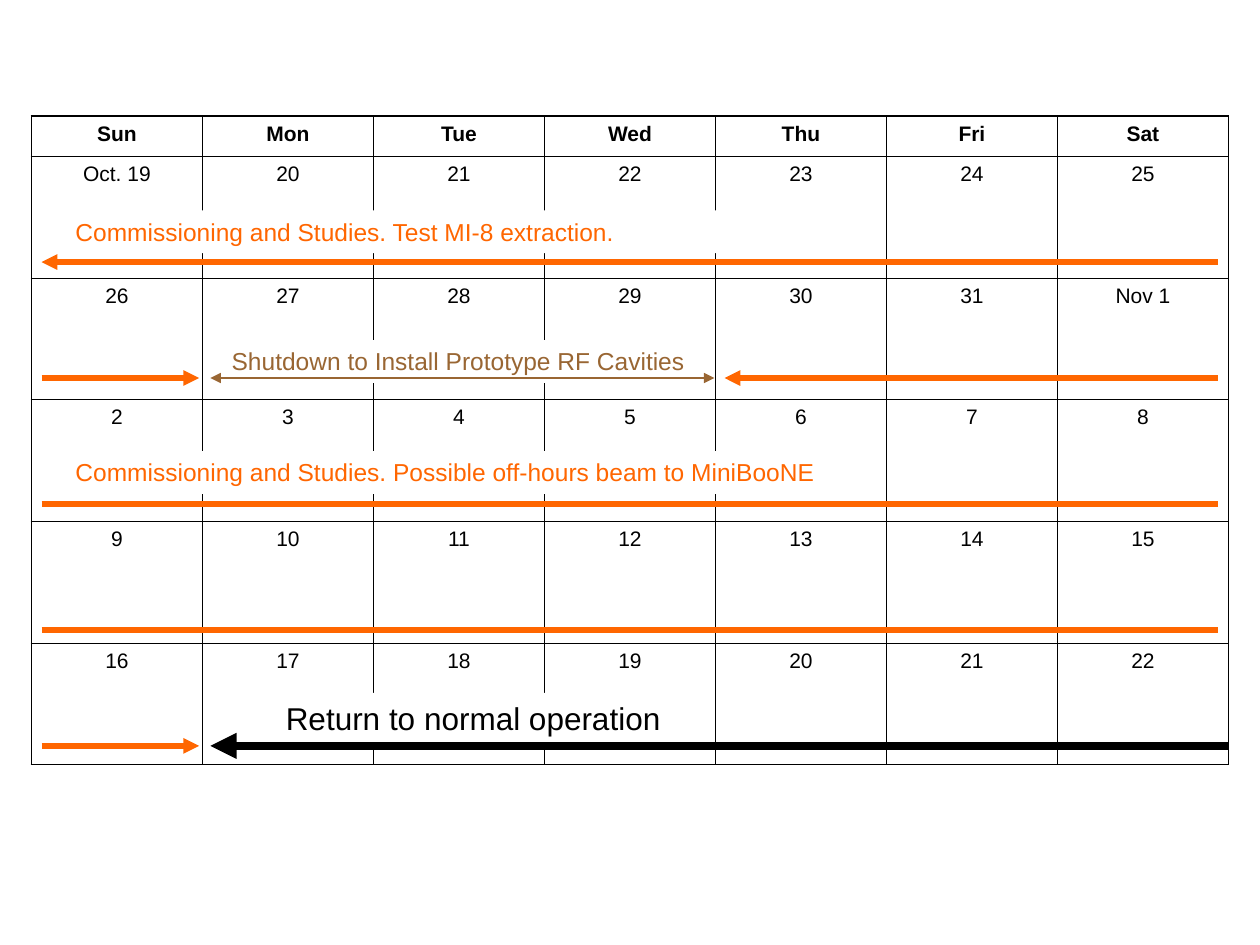
from lxml.etree import SubElement
from pptx import Presentation
from pptx.dml.color import RGBColor
from pptx.enum.shapes import MSO_CONNECTOR
from pptx.enum.text import MSO_AUTO_SIZE, PP_ALIGN
from pptx.oxml.ns import qn
from pptx.util import Inches, Pt

COLORS = {
    "white": "FFFFFF",
    "black": "000000",
    "studies": "FF6600",
    "shutdown": "996633",
}
OUTER, INNER = Pt(1.08), Pt(0.45)

WEEKS = [
    ["Sun", "Mon", "Tue", "Wed", "Thu", "Fri", "Sat"],
    ["Oct. 19", "20", "21", "22", "23", "24", "25"],
    ["26", "27", "28", "29", "30", "31", "Nov 1"],
    ["2", "3", "4", "5", "6", "7", "8"],
    ["9", "10", "11", "12", "13", "14", "15"],
    ["16", "17", "18", "19", "20", "21", "22"],
]

prs = Presentation()
prs.slide_width, prs.slide_height = Inches(10), Inches(7.5)
slide = prs.slides.add_slide(prs.slide_layouts[6])


def add_label(text, left, top, width, height, size, color, wrap=True):
    """Place a white-backed text box that hides the grid behind it."""
    label = slide.shapes.add_textbox(Inches(left), Inches(top), Inches(width), Inches(height))
    label.fill.solid()
    label.fill.fore_color.rgb = RGBColor.from_string(COLORS["white"])
    frame = label.text_frame
    frame.word_wrap = wrap
    frame.auto_size = MSO_AUTO_SIZE.SHAPE_TO_FIT_TEXT
    paragraph = frame.paragraphs[0]
    paragraph.text = text
    paragraph.font.name = "Arial"
    paragraph.font.size = Pt(size)
    paragraph.font.color.rgb = RGBColor.from_string(COLORS[color])


def add_span(start, end, y, color, weight, arrows=()):
    """Draw a period line; arrows names its ends: headEnd, then tailEnd."""
    span = slide.shapes.add_connector(
        MSO_CONNECTOR.STRAIGHT, Inches(start), Inches(y), Inches(end), Inches(y))
    span.line.color.rgb = RGBColor.from_string(COLORS[color])
    span.line.width = Pt(weight)
    for arrow in arrows:
        SubElement(span.line._get_or_add_ln(), qn(f"a:{arrow}"), type="triangle")
    SubElement(span._element.spPr, qn("a:effectLst"))


# Calendar grid
calendar = slide.shapes.add_table(
    len(WEEKS), 7, Inches(0.25), Inches(0.92), Inches(9.5), Inches(5.15)).table
calendar.first_row = calendar.horz_banding = False
for column in calendar.columns:
    column.width = Inches(9.5 / 7)
for r, week in enumerate(WEEKS):
    calendar.rows[r].height = Inches(0.966 if r else 0.32)
    for c, day in enumerate(week):
        cell = calendar.cell(r, c)
        outer_sides = {"L": c == 0, "R": c == 6, "T": r == 0, "B": r == len(WEEKS) - 1}
        for side, is_outer in outer_sides.items():
            border = SubElement(cell._tc.get_or_add_tcPr(), qn(f"a:ln{side}"),
                                w=str(OUTER if is_outer else INNER))
            SubElement(SubElement(border, qn("a:solidFill")), qn("a:srgbClr"),
                       val=COLORS["black"])
        cell.fill.background()
        paragraph = cell.text_frame.paragraphs[0]
        paragraph.text = day
        paragraph.alignment = PP_ALIGN.CENTER
        paragraph.font.name = "Arial"
        paragraph.font.size = Pt(12)
        paragraph.font.bold = r == 0
        paragraph.font.color.rgb = RGBColor.from_string(COLORS["black"])

# Labels of the periods
add_label("Shutdown to Install Prototype RF Cavities",
          1.74, 2.7, 3.8, 0.34, 14, "shutdown", wrap=False)
add_label("Commissioning and Studies. Test MI-8 extraction.",
          0.5, 1.67, 6.25, 0.34, 14, "studies")
add_label("Commissioning and Studies. Possible off-hours beam to MiniBooNE",
          0.5, 3.58, 6.25, 0.34, 14, "studies")
add_label("Return to normal operation", 2.17, 5.5, 3.33, 0.4, 18, "black")

# Lines of the periods
add_span(1.67, 5.67, 3, "shutdown", 0.75, ["headEnd", "tailEnd"])
for start, end, y, arrows in [
    (0.33, 9.67, 2.08, ["headEnd"]),
    (0.33, 1.58, 3, ["tailEnd"]),
    (5.75, 9.67, 3, ["headEnd"]),
    (0.33, 9.67, 4, []),
    (0.33, 9.67, 5, []),
    (0.33, 1.58, 5.92, ["tailEnd"]),
]:
    add_span(start, end, y, "studies", 3, arrows)
add_span(1.67, 9.75, 5.92, "black", 5, ["headEnd"])

prs.save("out.pptx")
